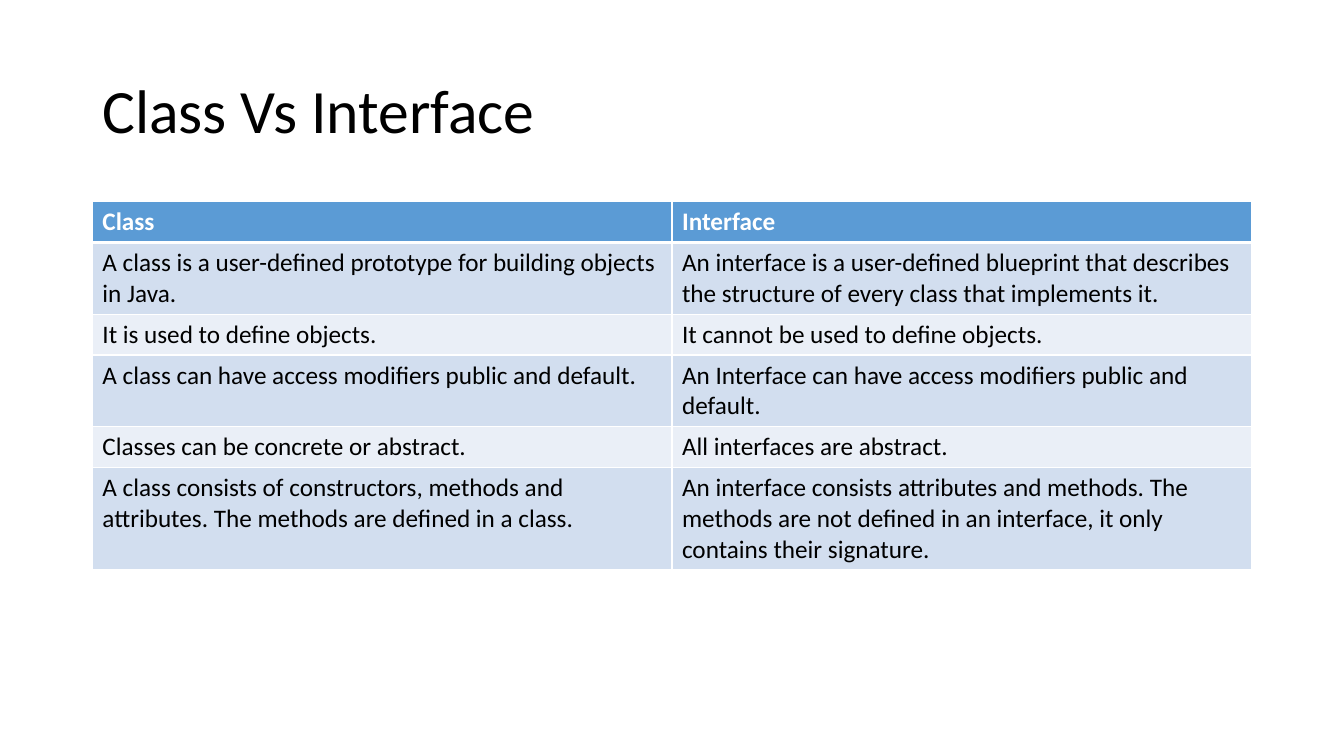
from pptx import Presentation
from pptx.dml.color import RGBColor
from pptx.enum.text import MSO_ANCHOR, PP_ALIGN
from pptx.oxml.ns import qn
from pptx.util import Pt
from lxml import etree

MIDDLE = MSO_ANCHOR.MIDDLE
LEFT = PP_ALIGN.LEFT
TITLE_ONLY = 5
FONT = "Calibri"
COLORS = {
    "text": "000000",
    "header": "5B9BD5",
    "header_text": "FFFFFF",
    "band_dark": "D2DEEF",
    "band_light": "EAEFF7",
    "border": "FFFFFF",
}
MARGIN_LEFT, CONTENT_WIDTH = 66, 828
TABLE_TOP = 144
LINE_HEIGHT, CELL_PADDING = 21.9, 7.2

HEADERS = ("Class", "Interface")
COMPARISONS = [
    ("A class is a user-defined prototype for building objects in Java.",
     "An interface is a user-defined blueprint that describes the structure "
     "of every class that implements it."),
    ("It is used to define objects.",
     "It cannot be used to define objects."),
    ("A class can have access modifiers public and default.",
     "An Interface can have access modifiers public and default."),
    ("Classes can be concrete or abstract.",
     "All interfaces are abstract."),
    ("A class consists of constructors, methods and attributes. "
     "The methods are defined in a class.",
     "An interface consists attributes and methods. The methods are not "
     "defined in an interface, it only contains their signature."),
]
LINES_PER_ROW = (1, 2, 1, 2, 1, 3)


def add_run(para, text, size, color, bold=False):
    span = para.add_run()
    span.text = text
    span.font.name = FONT
    span.font.size = Pt(size)
    span.font.bold = bold
    span.font.color.rgb = RGBColor.from_string(COLORS[color])


def add_title(page, text):
    box = page.shapes.title
    box.left, box.top = Pt(MARGIN_LEFT), Pt(28.75)
    box.width, box.height = Pt(CONTENT_WIDTH), Pt(104.4)
    frame = box.text_frame
    frame.word_wrap = True
    frame.vertical_anchor = MIDDLE
    para = frame.paragraphs[0]
    para.alignment = LEFT
    para.line_spacing = 0.9
    add_run(para, text, 44, "text")


def set_borders(cell, top, bottom):
    properties = cell._tc.get_or_add_tcPr()
    for side, width in (("L", 1), ("R", 1), ("T", top), ("B", bottom)):
        line = etree.SubElement(properties, qn(f"a:ln{side}"), w=str(Pt(width)))
        fill = etree.SubElement(line, qn("a:solidFill"))
        etree.SubElement(fill, qn("a:srgbClr"), val=COLORS["border"])


def fill_cell(cell, text, row):
    # A thick rule separates the header from the banded rows
    set_borders(cell, top=3 if row == 1 else 1, bottom=3 if row == 0 else 1)
    band = "header" if row == 0 else "band_dark" if row % 2 else "band_light"
    cell.fill.solid()
    cell.fill.fore_color.rgb = RGBColor.from_string(COLORS[band])
    color = "header_text" if row == 0 else "text"
    add_run(cell.text_frame.paragraphs[0], text, 18, color, bold=row == 0)


def add_comparison_table(page):
    rows = [HEADERS, *COMPARISONS]
    heights = [CELL_PADDING + LINE_HEIGHT * lines for lines in LINES_PER_ROW]
    table = page.shapes.add_table(
        len(rows), len(HEADERS), Pt(MARGIN_LEFT), Pt(TABLE_TOP),
        Pt(CONTENT_WIDTH), Pt(sum(heights))).table
    for column in table.columns:
        column.width = Pt(CONTENT_WIDTH / len(HEADERS))
    for row, (texts, height) in enumerate(zip(rows, heights)):
        table.rows[row].height = Pt(height)
        for column, text in enumerate(texts):
            fill_cell(table.cell(row, column), text, row)


def main():
    deck = Presentation()
    deck.slide_width, deck.slide_height = Pt(960), Pt(540)
    page = deck.slides.add_slide(deck.slide_layouts[TITLE_ONLY])
    add_title(page, "Class Vs Interface")
    add_comparison_table(page)
    deck.save("out.pptx")


main()
